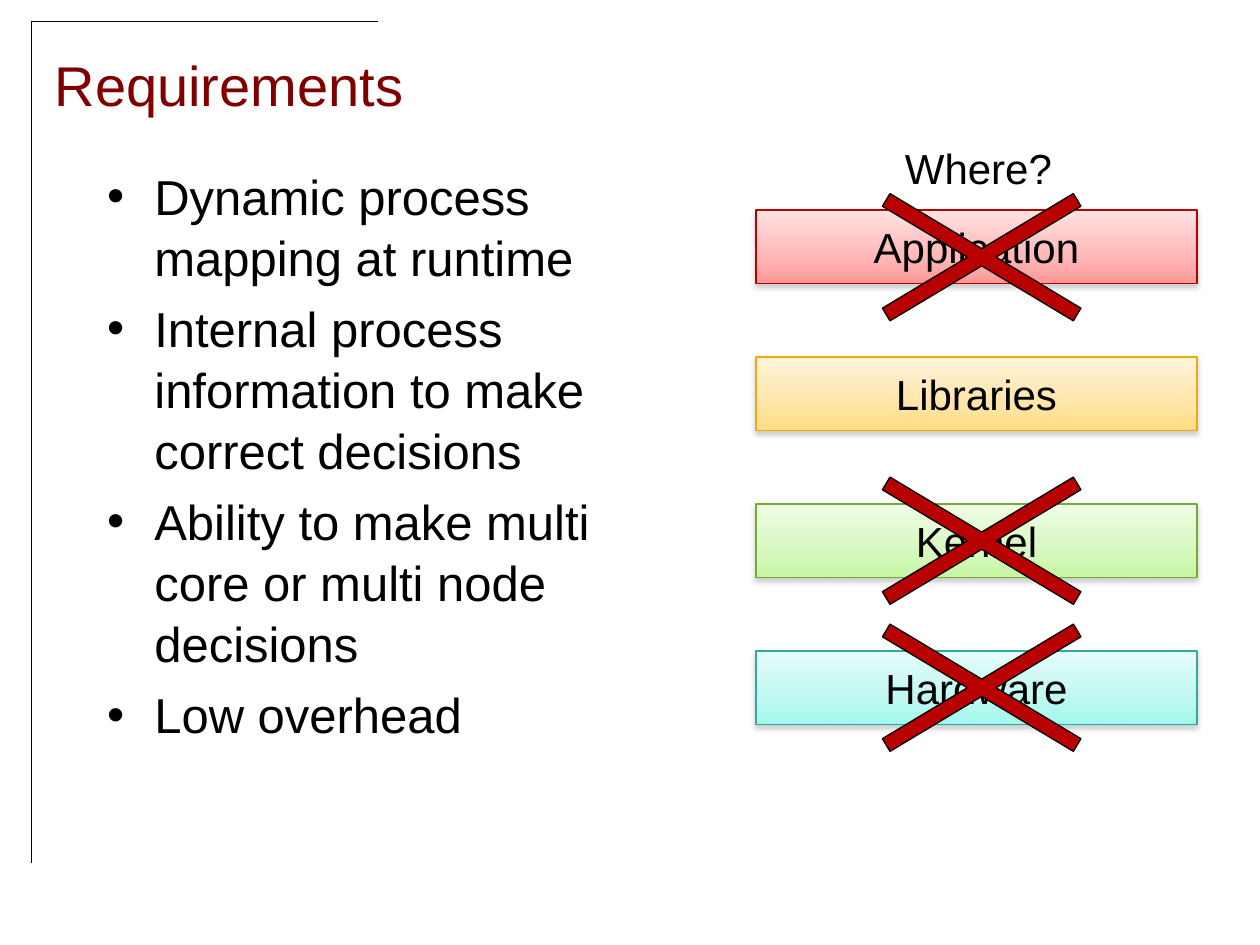
from copy import deepcopy
from dataclasses import dataclass

from lxml import etree
from pptx import Presentation
from pptx.dml.color import RGBColor
from pptx.enum.shapes import MSO_CONNECTOR, MSO_SHAPE
from pptx.enum.text import MSO_ANCHOR, MSO_AUTO_SIZE, PP_ALIGN
from pptx.oxml import parse_xml
from pptx.oxml.ns import nsdecls, qn
from pptx.shapes.autoshape import Shape
from pptx.slide import Slide
from pptx.util import Pt

RECTANGLE = MSO_SHAPE.RECTANGLE
CROSS = MSO_SHAPE.MATH_MULTIPLY
STRAIGHT = MSO_CONNECTOR.STRAIGHT
MIDDLE = MSO_ANCHOR.MIDDLE
TOP = MSO_ANCHOR.TOP
LEFT = PP_ALIGN.LEFT
CENTER = PP_ALIGN.CENTER
NO_FIT = MSO_AUTO_SIZE.NONE
GROW = MSO_AUTO_SIZE.SHAPE_TO_FIT_TEXT

FONT = "Arial"
BLACK = "000000"
MAROON = "800000"
RED = "B90000"
LAYER_LEFT, LAYER_TOP, LAYER_STEP = 432, 120, 84
LAYER_WIDTH, LAYER_HEIGHT = 252, 42
GRADIENT_POSITIONS = (0, 0.65, 1)


@dataclass(frozen=True)
class Layer:
    name: str
    gradient: tuple[str, str, str]
    outline: str


@dataclass(frozen=True)
class Rule:
    start: tuple[float, float]
    end: tuple[float, float]


RULES = [
    Rule((18, 12), (18, 54)),
    Rule((18, 12), (216, 12)),
    Rule((18, 54), (18, 493)),
]
REQUIREMENTS = [
    "Dynamic process mapping at runtime",
    "Internal process information to make correct decisions",
    "Ability to make multi core or multi node decisions",
    "Low overhead",
]
LAYERS = [
    Layer("Application", ("FFE2E2", "FFB7B7", "FF9797"), RED),
    Layer("Libraries", ("FFF4DB", "FFE4A7", "FFDC81"), "EFA910"),
    Layer("Kernel", ("EFFDE6", "D7F8BF", "C6F7A2"), "76AB31"),
    Layer("Hardware", ("E6FDFA", "BFF8F1", "A2F7EC"), "31ABA1"),
]
CROSS_TOPS = [84, 246, 330]


def color(value: str) -> RGBColor:
    return RGBColor.from_string(value)


def place(shape: Shape, left: float, top: float, width: float, height: float) -> None:
    shape.left, shape.top = Pt(left), Pt(top)
    shape.width, shape.height = Pt(width), Pt(height)


def format_text(shape: Shape, size: float, font_color: str, alignment: PP_ALIGN) -> None:
    for paragraph in shape.text_frame.paragraphs:
        paragraph.alignment = alignment
        for run in paragraph.runs:
            run.font.name = FONT
            run.font.size = Pt(size)
            run.font.color.rgb = color(font_color)


def set_outline(shape: Shape, outline: str) -> None:
    shape.line.color.rgb = color(outline)
    shape.line.width = Pt(0.75)


def add_rule(slide: Slide, rule: Rule) -> None:
    ends = [Pt(value) for value in rule.start + rule.end]
    connector = slide.shapes.add_connector(STRAIGHT, *ends)
    connector.line.color.rgb = color(BLACK)
    connector.line.width = Pt(0.25)
    etree.SubElement(connector.element.spPr, qn("a:effectLst"))


def set_gradient(shape: Shape, colors: tuple[str, str, str]) -> None:
    shape.fill.gradient()
    shape.fill.gradient_angle = 270
    stop_list = shape.element.spPr.find(".//" + qn("a:gsLst"))
    stop_list.append(deepcopy(stop_list[-1]))
    for stop, position, value in zip(shape.fill.gradient_stops, GRADIENT_POSITIONS, colors):
        stop.position = position
        stop.color.rgb = color(value)


def set_shadow(shape: Shape) -> None:
    shape.shadow.inherit = False
    shape.element.spPr.find(qn("a:effectLst")).append(parse_xml(
        f'<a:outerShdw {nsdecls("a")} blurRad="{Pt(3.1)}" dist="{Pt(1.6)}" '
        'dir="5400000" rotWithShape="0"><a:srgbClr val="808080">'
        '<a:alpha val="38000"/></a:srgbClr></a:outerShdw>'
    ))


def add_layer(slide: Slide, layer: Layer, top: float) -> None:
    shape = slide.shapes.add_shape(RECTANGLE, 0, 0, 0, 0)
    place(shape, LAYER_LEFT, top, LAYER_WIDTH, LAYER_HEIGHT)
    set_gradient(shape, layer.gradient)
    set_outline(shape, layer.outline)
    set_shadow(shape)
    text_frame = shape.text_frame
    text_frame.text = layer.name
    text_frame.word_wrap = False
    text_frame.vertical_anchor = MIDDLE
    format_text(shape, 24, BLACK, CENTER)


def add_cross(slide: Slide, top: float) -> None:
    shape = slide.shapes.add_shape(CROSS, 0, 0, 0, 0)
    place(shape, 456, top, 210, 126)
    shape.adjustments[0] = 0.067
    shape.fill.solid()
    shape.fill.fore_color.rgb = color(RED)
    set_outline(shape, BLACK)
    shape.shadow.inherit = False


def add_title(slide: Slide) -> None:
    title = slide.shapes.title
    place(title, 24, 18, 690, 60)
    title.text_frame.text = "Requirements"
    title.text_frame.auto_size = NO_FIT
    title.text_frame.vertical_anchor = MIDDLE
    format_text(title, 32, MAROON, LEFT)


def add_requirements(slide: Slide) -> None:
    body = slide.placeholders[1]
    place(body, 54, 90, 300, 408)
    text_frame = body.text_frame
    text_frame.text = "\n".join(REQUIREMENTS)
    text_frame.auto_size = NO_FIT
    text_frame.vertical_anchor = TOP
    format_text(body, 28, BLACK, LEFT)
    for index, paragraph in enumerate(text_frame.paragraphs):
        paragraph.line_spacing = 1.04
        paragraph.space_before = Pt(5.6 if index else 0)


def add_heading(slide: Slide) -> None:
    heading = slide.shapes.add_textbox(Pt(510), Pt(78), Pt(99), Pt(36.5))
    heading.text_frame.text = "Where?"
    heading.text_frame.word_wrap = False
    heading.text_frame.auto_size = GROW
    format_text(heading, 24, BLACK, LEFT)


def main() -> None:
    presentation = Presentation()
    presentation.slide_width, presentation.slide_height = Pt(720), Pt(540)
    slide = presentation.slides.add_slide(presentation.slide_layouts[1])
    for rule in RULES:
        add_rule(slide, rule)
    add_title(slide)
    add_requirements(slide)
    for index, layer in enumerate(LAYERS):
        add_layer(slide, layer, LAYER_TOP + index * LAYER_STEP)
    add_heading(slide)
    for top in CROSS_TOPS:
        add_cross(slide, top)
    presentation.save("out.pptx")


if __name__ == "__main__":
    main()
